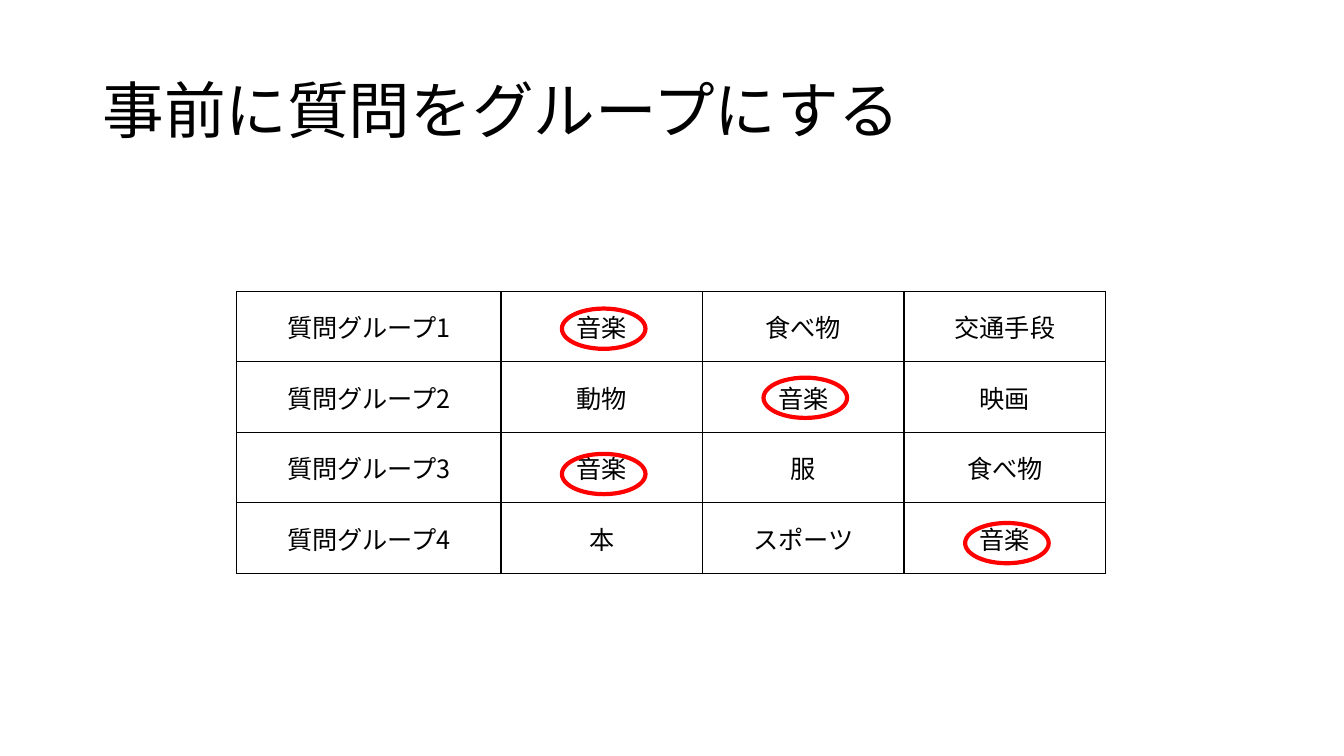
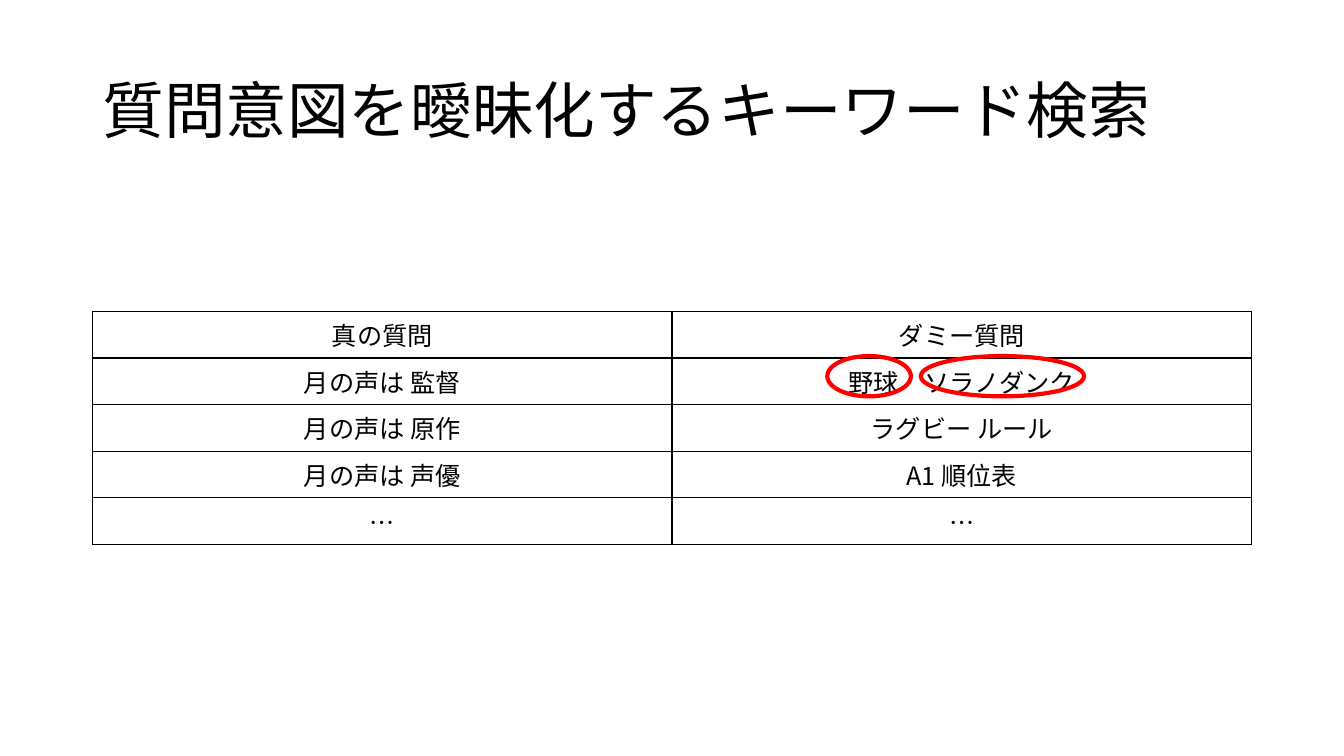
from collections import namedtuple

from lxml import etree
from pptx import Presentation
from pptx import util as u
from pptx.dml.color import RGBColor
from pptx.enum import shapes, text
from pptx.oxml.ns import qn

Box = namedtuple("Box", "left top width height")
Mark = namedtuple("Mark", "row column shift_x shift_y width")

INK = "000000"
RED = "FF0000"
JAPANESE = "Noto Sans CJK JP"
LABEL = "Noto Sans CJK SC"
SLIDE_WIDTH = u.Inches(13.33)
SLIDE_HEIGHT = u.Inches(7.5)
MARK_HEIGHT = 5.33
SHORT_MARK = 6.22
LONG_MARK = 12.15


def color(value):
    return RGBColor.from_string(value)


def share_box(left, top, width, height):
    return Box(
        int(SLIDE_WIDTH * left / 100),
        int(SLIDE_HEIGHT * top / 100),
        int(SLIDE_WIDTH * width / 100),
        int(SLIDE_HEIGHT * height / 100),
    )


TITLE_BOX = share_box(6.88, 5.33, 86.25, 19.33)


def add_run(paragraph, words, size, font=JAPANESE):
    run = paragraph.add_run()
    run.text = words
    run.font.size = u.Pt(size)
    run.font.name = font
    run.font.color.rgb = color(INK)
    east_asian = etree.SubElement(run.font._element, qn("a:ea"))
    east_asian.set("typeface", font)


def add_titled_slide(presentation, words):
    slide = presentation.slides.add_slide(presentation.slide_layouts[5])
    title = slide.shapes.title
    title.left, title.top, title.width, title.height = TITLE_BOX
    frame = title.text_frame
    frame.word_wrap = True
    frame.auto_size = text.MSO_AUTO_SIZE.NONE
    frame.vertical_anchor = text.MSO_ANCHOR.MIDDLE
    paragraph = frame.paragraphs[0]
    paragraph.alignment = text.PP_ALIGN.LEFT
    paragraph.line_spacing = 0.9
    add_run(paragraph, words, 44)
    return slide


def set_borders(cell):
    properties = cell._tc.get_or_add_tcPr()
    for index, side in enumerate(("lnL", "lnR", "lnT", "lnB")):
        line = etree.Element(qn("a:" + side), w=str(u.Pt(1)))
        fill = etree.SubElement(line, qn("a:solidFill"))
        etree.SubElement(fill, qn("a:srgbClr"), val=INK)
        properties.insert(index, line)


def add_grid(slide, box, rows, weights, anchor, label_column=False):
    table = slide.shapes.add_table(len(rows), len(weights), *box).table
    table.first_row = False
    table.horz_banding = False
    for column, weight in zip(table.columns, weights):
        column.width = int(box.width * weight / sum(weights))
    for row, words_in_row in zip(table.rows, rows):
        row.height = int(box.height / len(rows))
        for index, (cell, words) in enumerate(zip(row.cells, words_in_row)):
            cell.fill.background()
            cell.vertical_anchor = anchor
            set_borders(cell)
            paragraph = cell.text_frame.paragraphs[0]
            paragraph.alignment = text.PP_ALIGN.CENTER
            is_label = label_column and index == 0
            add_run(paragraph, words, 18, LABEL if is_label else JAPANESE)
    return table


def circle_words(slide, box, table, marks):
    widths = [column.width for column in table.columns]
    row_height = table.rows[0].height
    height = int(SLIDE_HEIGHT * MARK_HEIGHT / 100)
    for mark in marks:
        width = int(SLIDE_WIDTH * mark.width / 100)
        center_x = (box.left + sum(widths[:mark.column])
                    + widths[mark.column] * (0.5 + mark.shift_x))
        center_y = box.top + row_height * (mark.row + 0.5 + mark.shift_y)
        ellipse = slide.shapes.add_shape(
            shapes.MSO_SHAPE.OVAL,
            int(center_x - width / 2), int(center_y - height / 2),
            width, height,
        )
        ellipse.shadow.inherit = False
        ellipse.fill.background()
        ellipse.line.color.rgb = color(RED)
        ellipse.line.width = u.Pt(3)


def build_group_slide(presentation):
    slide = add_titled_slide(presentation, "事前に質問をグループにする")
    topics = [
        ("音楽", "食べ物", "交通手段"),
        ("動物", "音楽", "映画"),
        ("音楽", "服", "食べ物"),
        ("本", "スポーツ", "音楽"),
    ]
    rows = [(f"質問グループ{number}", *group)
            for number, group in enumerate(topics, 1)]
    box = share_box(17.62, 38.53, 64.65, 37.33)
    table = add_grid(slide, box, rows, (2.62, 2, 2, 2),
                     text.MSO_ANCHOR.MIDDLE, label_column=True)
    shifts = (0.03, 0.01, 0.09, 0.07)
    marks = [Mark(row, group.index("音楽") + 1, 0.01, shift, SHORT_MARK)
             for row, (group, shift) in enumerate(zip(topics, shifts))]
    circle_words(slide, box, table, marks)


def build_dummy_slide(presentation):
    slide = add_titled_slide(presentation, "質問意図を曖昧化するキーワード検索")
    rows = [
        ("真の質問", "ダミー質問"),
        ("月の声は 監督", "野球　ソラノダンク"),
        ("月の声は 原作", "ラグビー ルール"),
        ("月の声は 声優", "A1 順位表"),
        ("…", "…"),
    ]
    box = share_box(6.88, 41.2, 86.25, 30.8)
    table = add_grid(slide, box, rows, (1, 1), text.MSO_ANCHOR.TOP)
    circle_words(slide, box, table, [
        Mark(1, 1, -0.16, -0.11, SHORT_MARK),
        Mark(1, 1, 0.07, -0.11, LONG_MARK),
    ])


def main():
    presentation = Presentation()
    presentation.slide_width = SLIDE_WIDTH
    presentation.slide_height = SLIDE_HEIGHT
    build_group_slide(presentation)
    build_dummy_slide(presentation)
    presentation.save("out.pptx")


if __name__ == "__main__":
    main()
